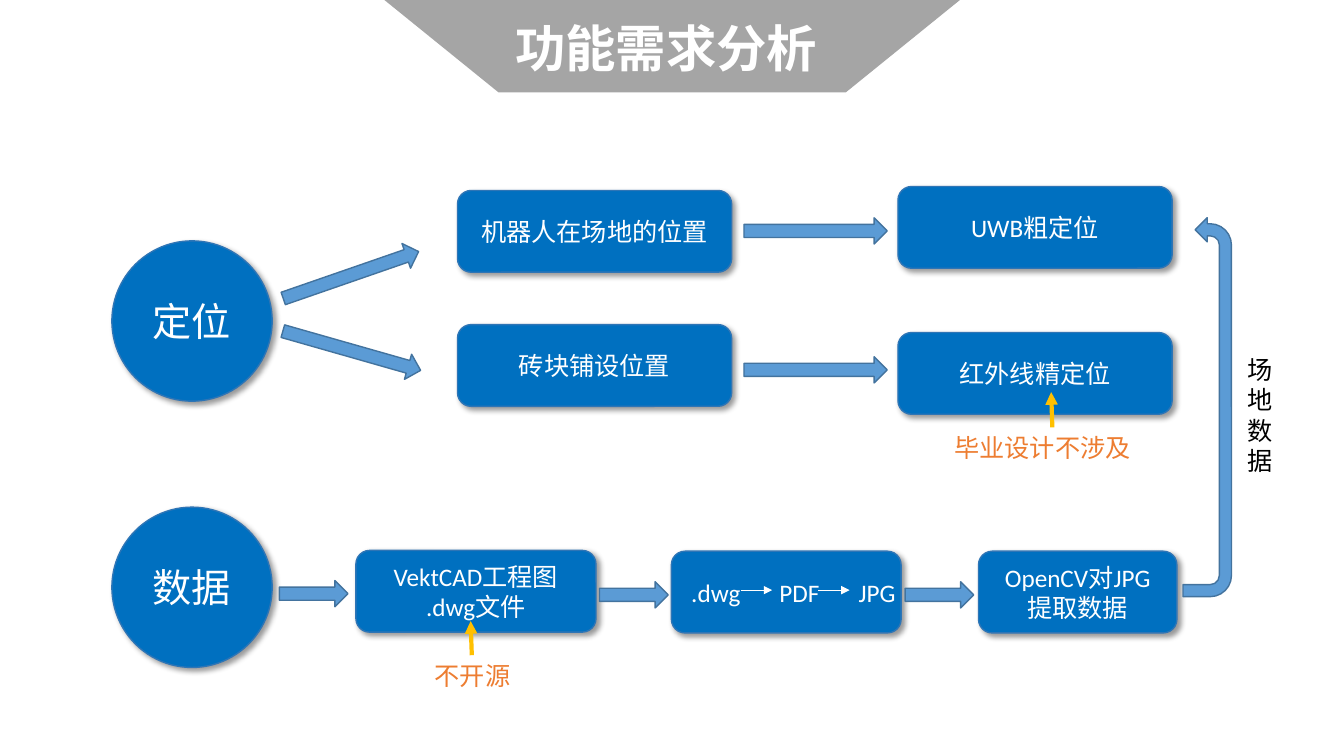
"""Build the functional requirements slide."""
from lxml.etree import SubElement
from pptx import Presentation
from pptx.dml.color import RGBColor
from pptx.enum.shapes import MSO_CONNECTOR, MSO_SHAPE
from pptx.enum.text import MSO_ANCHOR, PP_ALIGN
from pptx.oxml.ns import qn
from pptx.util import Cm, Pt

WHITE, BLACK, GREY = "FFFFFF", "000000", "A5A5A5"
CARD_FILL, CARD_LINE = "0070C0", "2E75B6"
ARROW_FILL, ARROW_LINE = "5B9BD5", "43739E"
NOTE, POINTER = "ED7D31", "FFC000"
CARD_HEIGHT, CIRCLE_SIZE, ARROW_HEIGHT = 2.06, 4.04, 0.66
LONG_ARROW, SHORT_ARROW = 3.61, 1.73


def color(value):
    """Return the colour of a hex string."""
    return RGBColor.from_string(value)


def write(shape, text, size, text_color, align=PP_ALIGN.CENTER):
    """Write the lines of text into a shape without insets."""
    frame = shape.text_frame
    frame.word_wrap = True
    frame.vertical_anchor = MSO_ANCHOR.MIDDLE
    frame.margin_left = frame.margin_right = 0
    frame.margin_top = frame.margin_bottom = 0
    frame.text = text
    for para in frame.paragraphs:
        para.alignment = align
        para.font.name = "Calibri"
        para.font.size = Pt(size)
        para.font.color.rgb = color(text_color)
    return frame


def add_figure(page, kind, left, top, width, height, fill, outline=None):
    """Add a filled preset shape with an optional outline."""
    shape = page.shapes.add_shape(kind, Cm(left), Cm(top), Cm(width), Cm(height))
    shape.fill.solid()
    shape.fill.fore_color.rgb = color(fill)
    if outline:
        shape.line.color.rgb = color(outline)
        shape.line.width = Pt(1)
    else:
        shape.line.fill.background()
    shape.shadow.inherit = False
    return shape


def add_shadow(shape):
    """Cast a soft shadow towards the lower right."""
    effects = shape._element.spPr.find(qn("a:effectLst"))
    shadow = SubElement(effects, qn("a:outerShdw"), blurRad=str(Pt(4)),
                        dist=str(Pt(3)), dir="2700000", algn="tl", rotWithShape="0")
    tint = SubElement(shadow, qn("a:srgbClr"), val=BLACK)
    SubElement(tint, qn("a:alpha"), val="40000")


def add_title(page, text):
    """Add the title banner."""
    banner = add_figure(page, MSO_SHAPE.FLOWCHART_MANUAL_OPERATION,
                        9.65, -0.03, 14.58, 2.36, GREY)
    frame = write(banner, text, 36, WHITE)
    frame.margin_top = frame.margin_right = Cm(0.3)
    frame.paragraphs[0].font.bold = True
    frame.paragraphs[0].line_spacing = 0.9


def add_topic(page, top, text):
    """Add a circle that names a topic."""
    circle = add_figure(page, MSO_SHAPE.OVAL, 2.82, top, CIRCLE_SIZE, CIRCLE_SIZE,
                        CARD_FILL, CARD_LINE)
    add_shadow(circle)
    write(circle, text, 28, WHITE)


def add_card(page, left, top, width, text, align=PP_ALIGN.CENTER):
    """Add a rounded card and return its text frame."""
    card = add_figure(page, MSO_SHAPE.ROUNDED_RECTANGLE, left, top, width, CARD_HEIGHT,
                      CARD_FILL, CARD_LINE)
    add_shadow(card)
    return write(card, text, 18, WHITE, align)


def add_conversion_card(page, left, top, width):
    """Add the card whose file formats stand at tab stops."""
    frame = add_card(page, left, top, width, "", PP_ALIGN.LEFT)
    frame.margin_left = Cm(0.4)
    para = frame.paragraphs[0]
    properties = para._p.get_or_add_pPr()
    stops = SubElement(properties, qn("a:tabLst"))
    for position in (2.22, 4.22):
        SubElement(stops, qn("a:tab"), pos=str(Cm(position)), algn="l")
    properties.insert(0, stops)
    para.text = ".dwg\tPDF\tJPG"


def add_arrow(page, left, top, width, rotation=0):
    """Add a block arrow."""
    arrow = add_figure(page, MSO_SHAPE.RIGHT_ARROW, left, top, width, ARROW_HEIGHT,
                       ARROW_FILL, ARROW_LINE)
    arrow.rotation = rotation


def add_return_arrow(page):
    """Add the arrow that leads from the data row back up to positioning."""
    arrow = add_figure(page, MSO_SHAPE.U_TURN_ARROW, 25.65, 9.65, 9.55, 1.22,
                       ARROW_FILL, ARROW_LINE)
    arrow.rotation = 90
    arrow._element.spPr.get_or_add_xfrm().set("flipH", "1")


def add_line_arrow(page, start, end, line_color, width):
    """Add a thin line with an arrowhead at its end."""
    line = page.shapes.add_connector(MSO_CONNECTOR.STRAIGHT, Cm(start[0]), Cm(start[1]),
                                     Cm(end[0]), Cm(end[1]))
    line.line.color.rgb = color(line_color)
    line.line.width = Pt(width)
    SubElement(line.line._get_or_add_ln(), qn("a:tailEnd"), type="triangle")
    SubElement(line._element.spPr, qn("a:effectLst"))


def add_note(page, left, top, width, height, text, text_color):
    """Add a free-standing note."""
    box = page.shapes.add_textbox(Cm(left), Cm(top), Cm(width), Cm(height))
    write(box, text, 18, text_color)


def main():
    """Build and save the deck."""
    deck = Presentation()
    deck.slide_width, deck.slide_height = Cm(33.87), Cm(19.05)
    page = deck.slides.add_slide(deck.slide_layouts[6])

    add_title(page, "功能需求分析")
    for top, text in ((6.07, "定位"), (12.78, "数据")):
        add_topic(page, top, text)
    for left, top, width, text in (
        (11.53, 4.8, 6.91, "机器人在场地的位置"),
        (11.53, 8.18, 6.91, "砖块铺设位置"),
        (22.63, 4.7, 6.91, "UWB粗定位"),
        (22.63, 8.38, 6.91, "红外线精定位"),
        (8.97, 13.87, 6.05, "VektCAD工程图\n.dwg文件"),
        (24.66, 13.89, 5, "OpenCV对JPG\n提取数据"),
    ):
        add_card(page, left, top, width, text)
    add_conversion_card(page, 16.92, 13.89, 5.79)
    for left, top, width, rotation in (
        (7.04, 6.6, LONG_ARROW, -19.1),
        (7.06, 8.51, LONG_ARROW, 15.9),
        (18.75, 5.49, LONG_ARROW, 0),
        (18.75, 8.99, LONG_ARROW, 0),
        (7.04, 14.63, SHORT_ARROW, 0),
        (15.11, 14.66, SHORT_ARROW, 0),
        (22.81, 14.66, SHORT_ARROW, 0),
    ):
        add_arrow(page, left, top, width, rotation)
    add_return_arrow(page)
    for left in (18.67, 20.62):
        add_line_arrow(page, (left, 14.87), (left + 0.79, 14.87), WHITE, 0.5)
    add_note(page, 31.4, 8.92, 0.7, 3.07, "场地数据", BLACK)
    add_note(page, 23.55, 10.9, 5.44, 0.76, "毕业设计不涉及", NOTE)
    add_note(page, 9.19, 16.64, 5.44, 0.76, "不开源", NOTE)
    add_line_arrow(page, (26.52, 10.77), (26.49, 9.88), POINTER, 3)
    add_line_arrow(page, (11.89, 16.51), (11.86, 15.65), POINTER, 3)
    deck.save("out.pptx")


if __name__ == "__main__":
    main()
